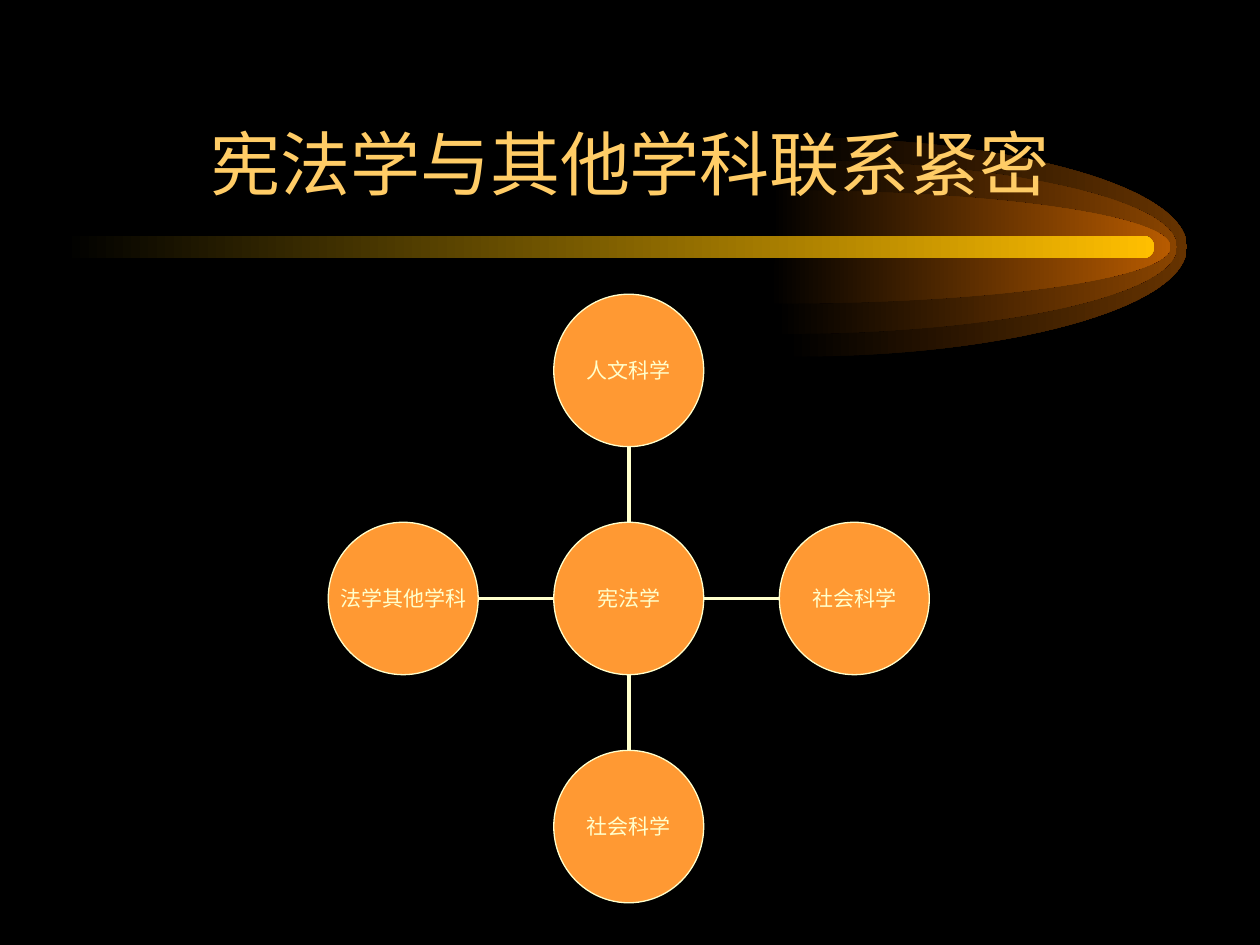
"""Slide showing how constitutional law links to neighbouring disciplines."""
from lxml.etree import SubElement
from pptx import Presentation
from pptx.dml.color import RGBColor
from pptx.enum.shapes import MSO_CONNECTOR, MSO_SHAPE
from pptx.enum.text import MSO_ANCHOR as Anchor, PP_ALIGN as Align
from pptx.oxml.ns import qn
from pptx.util import Inches, Pt

TITLE = "宪法学与其他学科联系紧密"
HUB = "宪法学"
DISCIPLINES = [
    ("法学其他学科", -1, 0),
    ("社会科学", 0, 1),
    ("社会科学", 1, 0),
    ("人文科学", 0, -1),
]
COLORS = {
    "background": "000000",
    "title": "FFCC66",
    "circle": "FF9933",
    "cream": "FFFFCC",
    "bar": "FFBF00",
    "outer flame": "663300",
    "middle flame": "894400",
    "inner flame": "B75B00",
}
FLAMES = [(6.29, 0.87, "outer flame"), (6.21, 0.69, "middle flame"), (6.16, 0.45, "inner flame")]
FLAME_Y, FLAME_LENGTH, FLAME_TAIL = 1.96, 3.13, 0.05
ROUNDNESS = 0.55
HUB_X, HUB_Y = 4.99, 4.75
CIRCLE_W, CIRCLE_H = 1.19, 1.21
STEP_X, STEP_Y = 1.79, 1.81


def rgb(name):
    return RGBColor.from_string(COLORS[name])


def fade(shape, color):
    shape.shadow.inherit = False
    shape.line.fill.background()
    shape.fill.gradient()
    shape.fill.gradient_angle = 0
    for stop, position, shade in zip(shape.fill.gradient_stops, (0, 1), ("background", color)):
        stop.position = position
        stop.color.rgb = rgb(shade)


def write(shape, text, font, size, color, anchor, wrap, margins):
    frame = shape.text_frame
    frame.text = text
    frame.word_wrap = wrap
    frame.vertical_anchor = anchor
    frame.margin_left = frame.margin_right = Inches(margins[0])
    frame.margin_top = frame.margin_bottom = Inches(margins[1])
    paragraph = frame.paragraphs[0]
    paragraph.alignment = Align.CENTER
    run_font = paragraph.runs[0].font
    run_font.name, run_font.size = font, Pt(size)
    run_font.color.rgb = rgb(color)


def bend(segment, start, corner, end):
    curve = segment.makeelement(qn("a:cubicBezTo"), {})
    controls = [[round(a + ROUNDNESS * (c - a)) for a, c in zip(anchor, corner)]
                for anchor in (start, end)]
    for x, y in controls + [end]:
        SubElement(curve, qn("a:pt"), x=str(x), y=str(y))
    segment.getparent().replace(segment, curve)


def add_flame(shapes, x, half_height, color):
    top, bottom = FLAME_Y - half_height, FLAME_Y + half_height
    outline = [(Inches(px), Inches(py)) for px, py in (
        (x, top), (x + FLAME_LENGTH, FLAME_Y), (x, bottom),
        (x - FLAME_TAIL, bottom), (x, FLAME_Y))]
    builder = shapes.build_freeform(*outline[0])
    builder.add_line_segments(outline[1:], close=True)
    flame = builder.convert_to_shape()
    start, tip, end = [(px - flame.left, py - flame.top) for px, py in outline[:3]]
    upper, lower = list(flame._element.iter(qn("a:lnTo")))[:2]
    bend(upper, start, (tip[0], start[1]), tip)
    bend(lower, tip, (tip[0], end[1]), end)
    fade(flame, color)


def add_circle(shapes, text, dx, dy):
    left = HUB_X + dx * STEP_X - CIRCLE_W / 2
    top = HUB_Y + dy * STEP_Y - CIRCLE_H / 2
    circle = shapes.add_shape(MSO_SHAPE.OVAL, Inches(left), Inches(top),
                              Inches(CIRCLE_W), Inches(CIRCLE_H))
    circle.shadow.inherit = False
    circle.fill.solid()
    circle.fill.fore_color.rgb = rgb("circle")
    circle.line.color.rgb = rgb("cream")
    circle.line.width = Pt(0.75)
    write(circle, text, "Arial", 12, "cream", Anchor.MIDDLE, False, (0, 0))


def add_spoke(shapes, dx, dy):
    spoke = shapes.add_connector(
        MSO_CONNECTOR.STRAIGHT,
        Inches(HUB_X + dx * CIRCLE_W / 2), Inches(HUB_Y + dy * CIRCLE_H / 2),
        Inches(HUB_X + dx * (STEP_X - CIRCLE_W / 2)),
        Inches(HUB_Y + dy * (STEP_Y - CIRCLE_H / 2)))
    spoke.line.color.rgb = rgb("cream")
    spoke.line.width = Pt(2.25)
    SubElement(spoke._element.spPr, qn("a:effectLst"))


def main():
    deck = Presentation()
    deck.slide_width, deck.slide_height = Inches(10), Inches(7.5)
    slide = deck.slides.add_slide(deck.slide_layouts[6])
    slide.background.fill.solid()
    slide.background.fill.fore_color.rgb = rgb("background")
    shapes = slide.shapes

    for flame in FLAMES:
        add_flame(shapes, *flame)
    bar = shapes.add_shape(MSO_SHAPE.ROUNDED_RECTANGLE, Inches(0.5), Inches(1.87),
                           Inches(8.66), Inches(0.18))
    bar.adjustments[0] = 0.5
    fade(bar, "bar")

    title = shapes.add_textbox(Inches(0.75), Inches(0.42), Inches(8.5), Inches(1.25))
    write(title, TITLE, "Times New Roman", 40, "title", Anchor.BOTTOM, True, (0.1, 0.05))

    for discipline, dx, dy in DISCIPLINES:
        add_spoke(shapes, dx, dy)
        add_circle(shapes, discipline, dx, dy)
    add_circle(shapes, HUB, 0, 0)
    deck.save("out.pptx")


if __name__ == "__main__":
    main()
